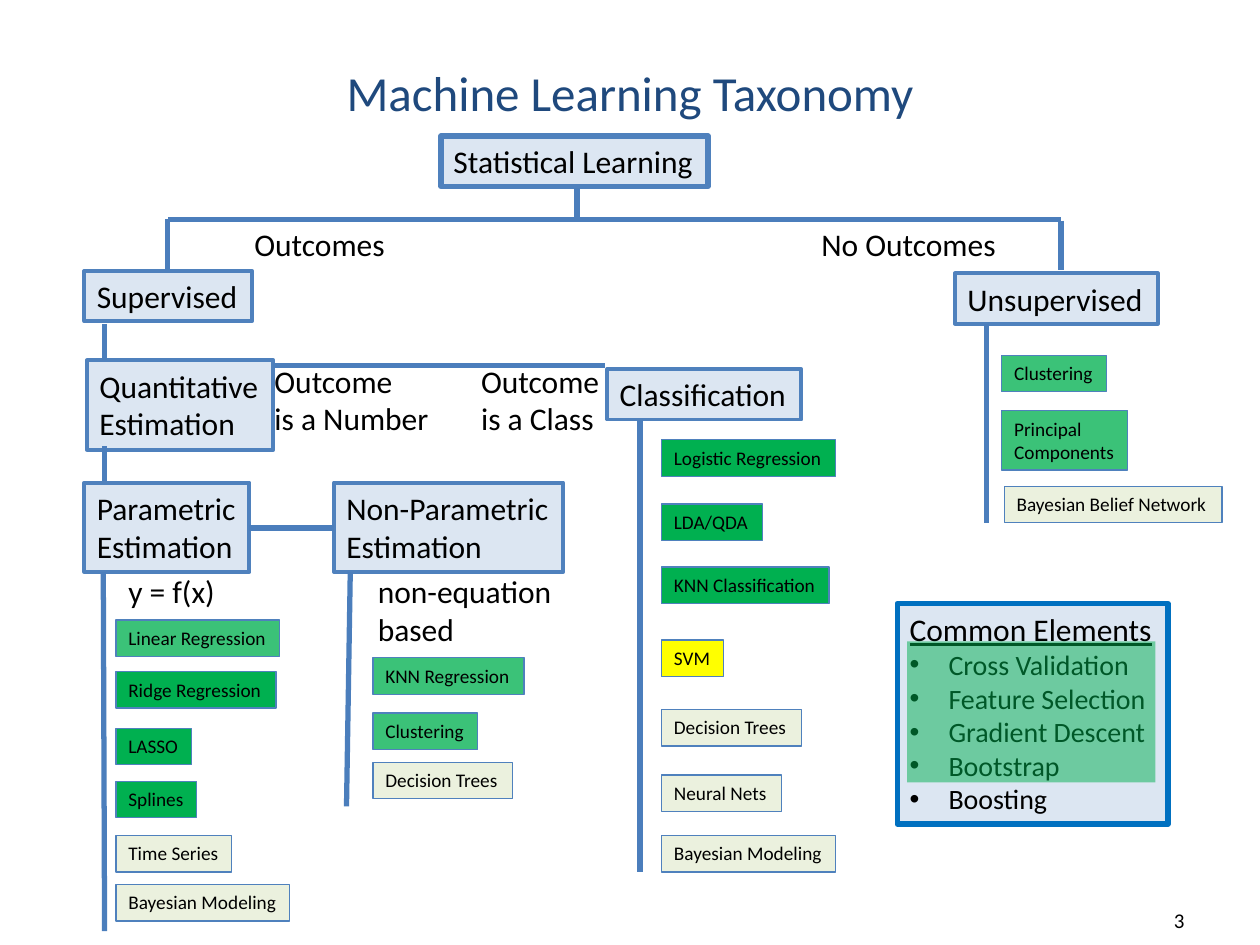
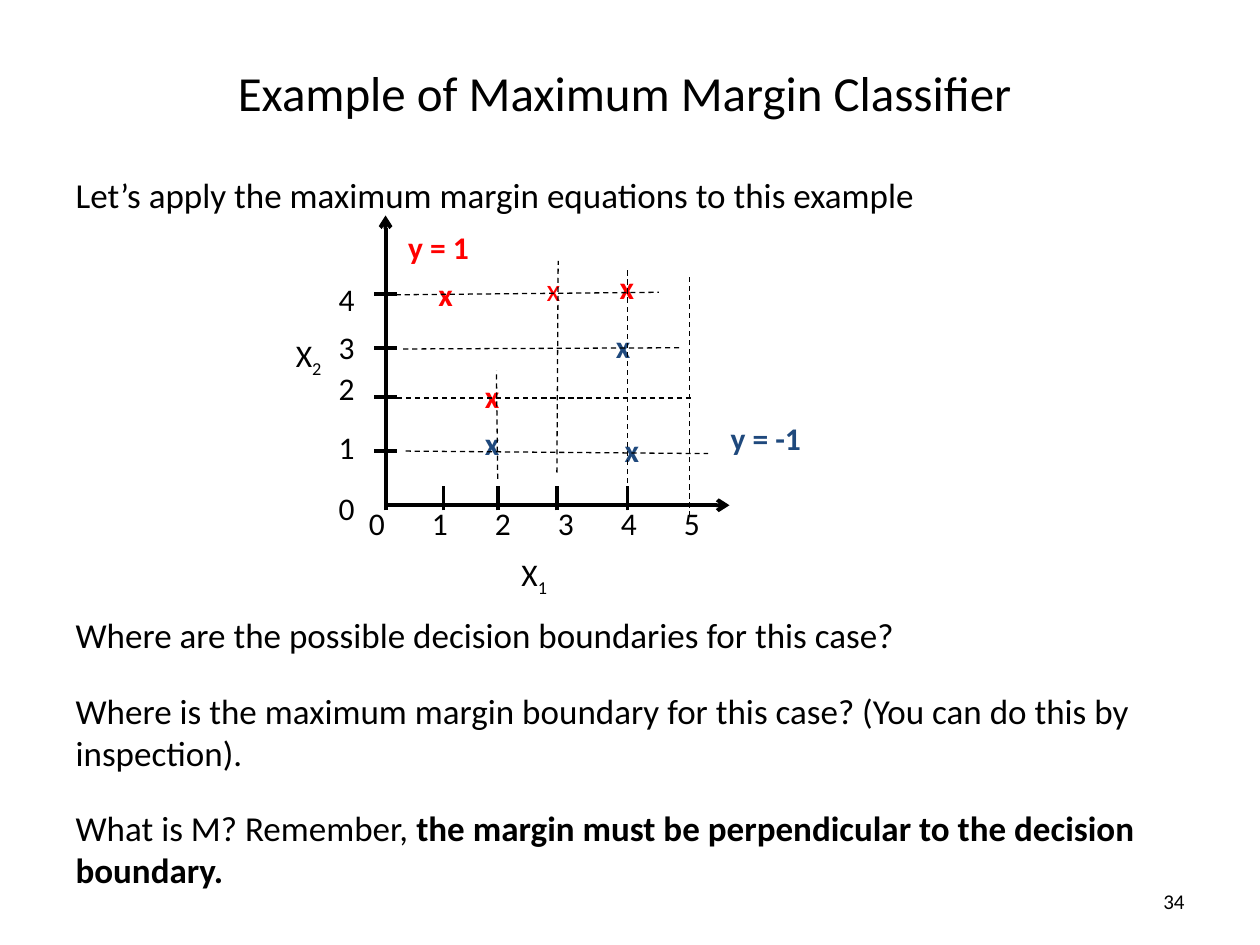
from dataclasses import dataclass
from itertools import chain
from typing import Any, NamedTuple, Optional

from lxml.etree import SubElement
from pptx import Presentation
from pptx.dml.color import RGBColor
from pptx.enum.dml import MSO_LINE
from pptx.enum.shapes import MSO_CONNECTOR as Connector, MSO_SHAPE as Shape
from pptx.enum.text import MSO_ANCHOR as Anchor, MSO_AUTO_SIZE as Fit, PP_ALIGN as Align
from pptx.oxml.ns import qn
from pptx.util import Pt

PX = 9144
FONT = "Calibri"
BLACK = RGBColor(0x00, 0x00, 0x00)
NAVY = RGBColor(0x1F, 0x49, 0x7D)
RED = RGBColor(0xFF, 0x00, 0x00)
BLUE = RGBColor(0x4F, 0x81, 0xBD)
BRANCH_BLUE = RGBColor(0x4B, 0x7E, 0xBC)
BRIGHT_BLUE = RGBColor(0x00, 0x70, 0xC0)
PALE_BLUE = RGBColor(0xDC, 0xE6, 0xF2)
GREEN = RGBColor(0x00, 0xB0, 0x50)
PALE_GREEN = RGBColor(0xEB, 0xF1, 0xDE)
YELLOW = RGBColor(0xFF, 0xFF, 0x00)


class Rect(NamedTuple):
    left: int
    top: int
    width: int
    height: int


class Paint(NamedTuple):
    color: RGBColor
    alpha: int = 100


class Stroke(NamedTuple):
    color: RGBColor
    weight: float
    dash: Optional[MSO_LINE] = None
    arrow: bool = False


@dataclass(frozen=True)
class Span:
    text: str
    size: float = 18
    color: RGBColor = BLACK
    bold: bool = False
    underline: bool = False
    baseline: int = 0


@dataclass(frozen=True)
class Para:
    spans: tuple[Span, ...]
    align: Align = Align.LEFT
    before: float = 0
    bullet: str = ""
    tabs: tuple[int, ...] = ()


class Label(NamedTuple):
    text: str
    left: int
    top: int
    width: int
    color: RGBColor = BLACK
    bold: bool = False


class Node(NamedTuple):
    text: str
    left: int
    top: int
    width: int
    weight: float = 2.25


class Method(NamedTuple):
    text: str
    top: int
    width: int
    paint: Paint
    shift: int = 0


BRANCH = Stroke(BRANCH_BLUE, 3)
AXIS = Stroke(BLACK, 2.25)
ARROW = Stroke(BLACK, 2.25, arrow=True)
GRID = Stroke(BLACK, 0.75, MSO_LINE.DASH)
HINT, DONE, NEXT, LATER = Paint(GREEN, 77), Paint(GREEN), Paint(YELLOW), Paint(PALE_GREEN)
BULLET_INDENT = 31
TITLE_AREA = Rect(50, 42, 900, 62)

NODES = (
    Node("Statistical Learning", 350, 108, 212, 3),
    Node("Supervised", 67, 215, 133),
    Node("Unsupervised", 758, 217, 161),
    Node("Quantitative\nEstimation", 69, 286, 148),
    Node("Classification", 482, 293, 154),
    Node("Parametric\nEstimation", 67, 383, 131),
    Node("Non-Parametric\nEstimation", 265, 383, 182),
)
BRANCHES = (
    (458, 149, 458, 174), (842, 174, 133, 174), (133, 174, 133, 214),
    (842, 175, 842, 214), (83, 257, 83, 286), (783, 257, 783, 415),
    (82, 454, 83, 739), (278, 454, 275, 640), (508, 333, 508, 692),
    (480, 290, 217, 290), (83, 354, 83, 382), (265, 419, 198, 419),
)
BRANCH_LABELS = (
    Label("Outcomes", 192, 174, 125),
    Label("No Outcomes", 642, 174, 160),
    Label("y = f(x)", 92, 449, 90),
    Label("non-equation\nbased", 290, 449, 160),
    Label("Outcome\nis a Number", 208, 282, 144),
    Label("Outcome\nis a Class", 372, 282, 115),
)
METHODS = {
    92: (
        Method("Linear Regression", 492, 130, HINT),
        Method("Ridge Regression", 533, 127, DONE),
        Method("LASSO", 578, 60, DONE),
        Method("Splines", 620, 64, DONE),
        Method("Time Series", 663, 92, LATER),
        Method("Bayesian Modeling", 702, 138, LATER),
    ),
    296: (
        Method("KNN Regression", 522, 120, HINT),
        Method("Clustering", 566, 83, HINT),
        Method("Decision Trees", 605, 111, LATER),
    ),
    525: (
        Method("Logistic Regression", 349, 138, DONE),
        Method("LDA/QDA", 400, 80, DONE),
        Method("KNN Classification", 450, 133, DONE),
        Method("SVM", 508, 49, NEXT),
        Method("Decision Trees", 563, 111, LATER),
        Method("Neural Nets", 615, 95, LATER),
        Method("Bayesian Modeling", 663, 138, LATER),
    ),
    795: (
        Method("Clustering", 282, 83, HINT),
        Method("Principal\nComponents", 326, 100, HINT),
        Method("Bayesian Belief Network", 386, 173, LATER, 2),
    ),
}
COMMON = ("Cross Validation", "Feature Selection", "Gradient Descent", "Bootstrap", "Boosting")

POINTS = {
    RED: ((375, 294), (482, 208), (338, 213)),
    NAVY: ((375, 332), (486, 337), (479, 255)),
}
Y_TICKS = (233, 276, 315, 358)
X_TICKS = (352, 395, 442, 498)
X_NUMBER_TABS = (47, 93, 139, 197, 249)
Y_NUMBERS = (("4", 0), ("3", 6), ("2", 2), ("1", 12), ("0", 13))
GRID_LINES = (
    (314, 234, 523, 232), (320, 277, 542, 276), (315, 316, 551, 316), (322, 358, 562, 360),
    (395, 380, 394, 294), (498, 405, 498, 214), (442, 375, 443, 207), (547, 410, 547, 219),
)
CLASS_LABELS = (
    Label("y = 1", 314, 176, 69, RED, True),
    Label("y = -1", 570, 328, 77, NAVY, True),
)
QUESTIONS = (
    Para((Span("Let’s apply the maximum margin equations to this example", 20),), before=4),
    Para((Span("Where are the possible decision boundaries for this case?", 20),), before=227),
    Para((Span("Where is the maximum margin boundary for this case? "
               "(You can do this by inspection).", 20),), before=19.5),
    Para((Span("What is M? Remember, ", 20),
          Span("the margin must be perpendicular to the decision boundary.", 20, bold=True)),
         before=19),
)


def apply(target: Any, formats: dict[str, Any]) -> None:
    for name, value in formats.items():
        setattr(target, name, value)


def lengths(*values: int) -> list[int]:
    return [value * PX for value in values]


def lines(text: str, size: float = 18, color: RGBColor = BLACK, bold: bool = False) -> list[Para]:
    return [Para((Span(line, size, color, bold),)) for line in text.split("\n")]


def write(frame: Any, paras: Any, formats: dict[str, Any]) -> None:
    apply(frame, formats)
    for index, item in enumerate(paras):
        para = frame.add_paragraph() if index else frame.paragraphs[0]
        apply(para, {"alignment": item.align, "space_before": Pt(item.before)})
        props = para._p.get_or_add_pPr()
        indent = BULLET_INDENT * PX if item.bullet else 0
        props.set("marL", str(indent))
        props.set("indent", str(-indent))
        if item.bullet:
            SubElement(props, qn("a:buFont"), typeface="Arial")
            SubElement(props, qn("a:buChar"), char=item.bullet)
        else:
            SubElement(props, qn("a:buNone"))
        if item.tabs:
            stops = SubElement(props, qn("a:tabLst"))
            for tab in item.tabs:
                SubElement(stops, qn("a:tab"), pos=str(tab * PX), algn="l")
        for part in item.spans:
            span = para.add_run()
            span.text = part.text
            apply(span.font, {"name": FONT, "size": Pt(part.size),
                              "bold": part.bold, "underline": part.underline})
            span.font.color.rgb = part.color
            if part.baseline:
                span.font._element.set("baseline", str(part.baseline * 1000))


SNUG = {"word_wrap": False, "auto_size": Fit.SHAPE_TO_FIT_TEXT, "vertical_anchor": Anchor.TOP}
WRAPPED = {"word_wrap": True, "auto_size": Fit.NONE, "vertical_anchor": Anchor.TOP}
CENTERED = WRAPPED | {"vertical_anchor": Anchor.MIDDLE}


def add_text(page: Any, rect: Rect, paras: Any, formats: dict[str, Any] = SNUG) -> None:
    write(page.shapes.add_textbox(*lengths(*rect)).text_frame, paras, formats)


def add_label(page: Any, label: Label) -> None:
    rect = Rect(label.left, label.top, label.width, 40 + 31 * label.text.count("\n"))
    add_text(page, rect, lines(label.text, 18, label.color, label.bold))


def add_box(page: Any, rect: Rect, paint: Paint, stroke: Optional[Stroke] = None,
            paras: Any = ()) -> None:
    box = page.shapes.add_shape(Shape.RECTANGLE, *lengths(*rect))
    box.shadow.inherit = False
    box.fill.solid()
    box.fill.fore_color.rgb = paint.color
    if paint.alpha < 100:
        color = box._element.spPr.find(qn("a:solidFill"))[0]
        SubElement(color, qn("a:alpha"), val=str(paint.alpha * 1000))
    if stroke:
        box.line.color.rgb = stroke.color
        box.line.width = Pt(stroke.weight)
    else:
        box.line.fill.background()
    if paras:
        write(box.text_frame, paras, SNUG)


def add_line(page: Any, route: tuple[int, int, int, int], stroke: Stroke) -> None:
    line = page.shapes.add_connector(Connector.STRAIGHT, *lengths(*route))
    line.line.color.rgb = stroke.color
    apply(line.line, {"width": Pt(stroke.weight), "dash_style": stroke.dash})
    if stroke.arrow:
        SubElement(line.line._get_or_add_ln(), qn("a:tailEnd"), type="arrow")
    SubElement(line._element.spPr, qn("a:effectLst"))


def fill_placeholder(holder: Any, rect: Rect, paras: Any, formats: dict[str, Any]) -> None:
    apply(holder, dict(zip(Rect._fields, lengths(*rect))))
    write(holder.text_frame, paras, formats)


def start_page(deck: Any, layout: int, title: str, color: RGBColor,
               number: str, number_top: int) -> Any:
    page = deck.slides.add_slide(deck.slide_layouts[layout])
    heading = Para((Span(title, 28, color),), Align.CENTER)
    fill_placeholder(page.shapes.title, TITLE_AREA, [heading], CENTERED)
    footer = Para((Span(number, 12),), Align.RIGHT)
    add_text(page, Rect(717, number_top, 233, 40), [footer], CENTERED)
    return page


def build_taxonomy(deck: Any) -> None:
    page = start_page(deck, 5, "Machine Learning Taxonomy", NAVY, "3", 710)
    for node in NODES:
        rect = Rect(node.left, node.top, node.width, 40 + 31 * node.text.count("\n"))
        add_box(page, rect, Paint(PALE_BLUE), Stroke(BLUE, node.weight), lines(node.text))
    for route in BRANCHES:
        add_line(page, route, BRANCH)
    for label in BRANCH_LABELS:
        add_label(page, label)
    for left, methods in METHODS.items():
        for method in methods:
            rect = Rect(left + method.shift, method.top, method.width,
                        29 + 18 * method.text.count("\n"))
            add_box(page, rect, method.paint, Stroke(BLUE, 0.75), lines(method.text, 11))
    common = [Para((Span("Common Elements", underline=True),))]
    common += [Para((Span(name, 16),), bullet="•") for name in COMMON]
    add_box(page, Rect(712, 479, 215, 175), Paint(PALE_BLUE), Stroke(BRIGHT_BLUE, 3), common)
    add_box(page, Rect(720, 509, 197, 112), Paint(GREEN, 50))


def build_margin_example(deck: Any) -> None:
    page = start_page(deck, 1, "Example of Maximum Margin Classifier ", BLACK, "34", 695)
    fill_placeholder(page.placeholders[1], Rect(50, 133, 900, 537), QUESTIONS, WRAPPED)
    for index, left, top in (("2", 225, 262), ("1", 404, 436)):
        add_text(page, Rect(left, top, 47, 47),
                 [Para((Span("X"), Span(index, baseline=-25)))])
    for color, spots in POINTS.items():
        for left, top in spots:
            add_label(page, Label("x", left, top, 32, color, True))
    add_label(page, Label("x", 424, 209, 35, RED))
    y_numbers = [Para((Span(digit),), before=gap) for digit, gap in Y_NUMBERS]
    add_text(page, Rect(259, 217, 33, 208), y_numbers)
    x_numbers = Para((Span("\t".join("012345")),), tabs=X_NUMBER_TABS)
    add_text(page, Rect(283, 395, 288, 40), [x_numbers], WRAPPED)
    for route in ((306, 405, 306, 171), (306, 401, 579, 401)):
        add_line(page, route, ARROW)
    for route in chain(((297, y, 315, y) for y in Y_TICKS), ((x, 405, x, 386) for x in X_TICKS)):
        add_line(page, route, AXIS)
    for label in CLASS_LABELS:
        add_label(page, label)
    for route in GRID_LINES:
        add_line(page, route, GRID)


def main() -> None:
    deck = Presentation()
    apply(deck, {"slide_width": 1000 * PX, "slide_height": 750 * PX})
    build_taxonomy(deck)
    build_margin_example(deck)
    deck.save("out.pptx")


if __name__ == "__main__":
    main()
